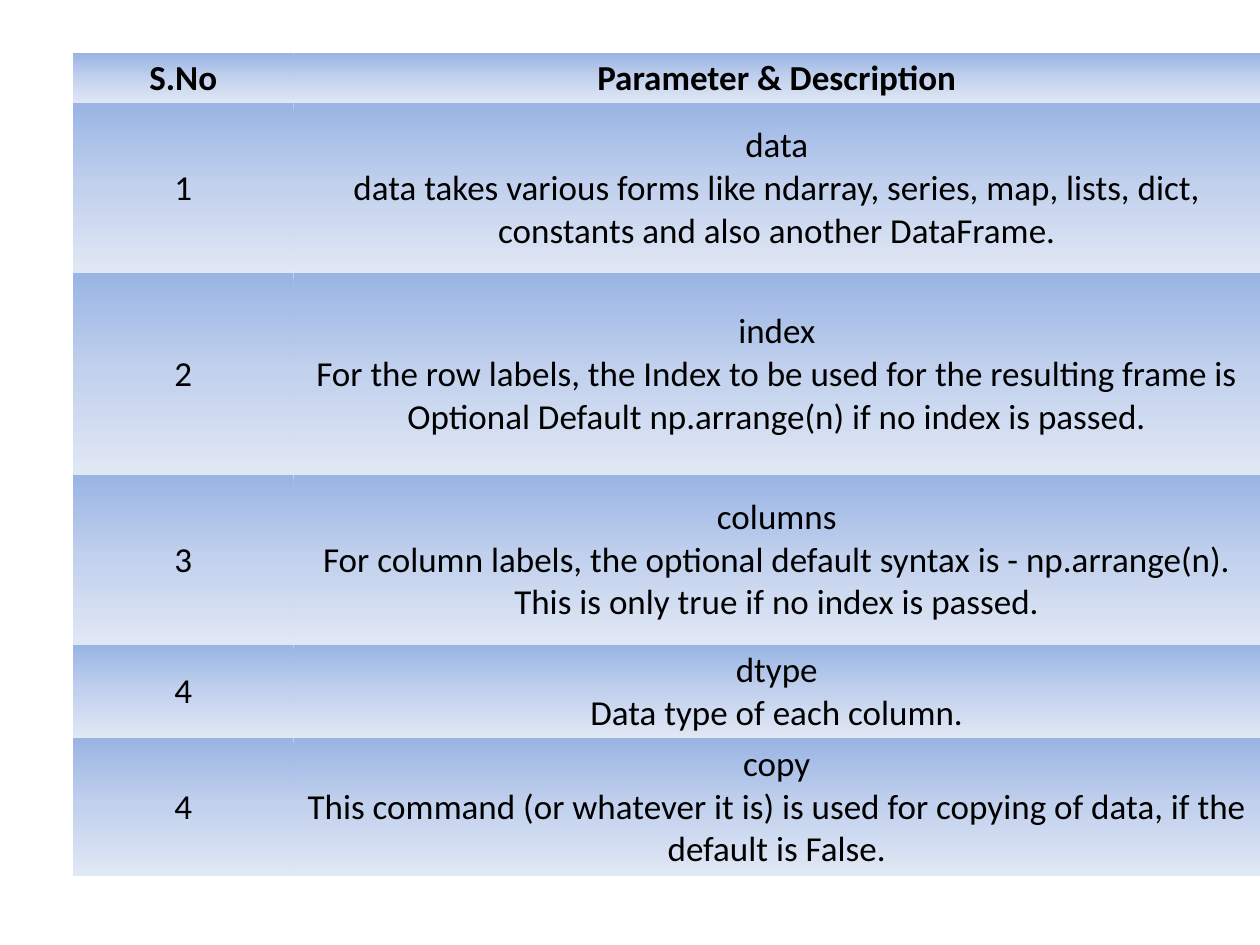
import lxml.etree
import pptx
import pptx.dml.color
import pptx.enum.text
import pptx.oxml.ns
import pptx.util

SLIDE_W, SLIDE_H = 10, 7.5
LEFT, TOP = 0.58, 0.42
COLUMN_WIDTHS = [1.75, 7.67]
ROW_HEIGHTS = [0.34, 1.35, 1.6, 1.35, 0.59, 1.09]
GRADIENT = [(0, "9AB5E4"), (50, "C2D1ED"), (100, "E1E8F5")]
NO_STYLE_NO_GRID = "{2D5ABB26-0587-4C30-8999-92F81FD0307C}"

ROWS = [
    ("S.No", ["Parameter & Description"]),
    ("1", ["data", "data takes various forms like ndarray, series, map, lists, dict, "
           "constants and also another DataFrame."]),
    ("2", ["index", "For the row labels, the Index to be used for the resulting frame is "
           "Optional Default np.arrange(n) if no index is passed."]),
    ("3", ["columns", "For column labels, the optional default syntax is - np.arrange(n). "
           "This is only true if no index is passed."]),
    ("4", ["dtype", "Data type of each column."]),
    ("4", ["copy", "This command (or whatever it is) is used for copying of data, "
           "if the default is False."]),
]


def color(value):
    """Turn a hex string into a colour."""
    return pptx.dml.color.RGBColor.from_string(value)


def add_child(parent, tag, **attributes):
    """Append a DrawingML element to its parent."""
    return lxml.etree.SubElement(parent, pptx.oxml.ns.qn(tag), **attributes)


def fill_gradient(cell):
    """Fill a cell with the vertical gradient."""
    grad = add_child(cell._tc.get_or_add_tcPr(), "a:gradFill", rotWithShape="1")
    stops = add_child(grad, "a:gsLst")
    for percent, value in GRADIENT:
        stop = add_child(stops, "a:gs", pos=str(percent * 1000))
        add_child(stop, "a:srgbClr", val=value)
    add_child(grad, "a:lin", ang="5400000", scaled="0")


def fill_cell(cell, lines, bold):
    """Write centred paragraphs into a cell and colour it."""
    cell.margin_left = cell.margin_right = pptx.util.Inches(0.07)
    cell.margin_top = cell.margin_bottom = pptx.util.Inches(0.03)
    cell.vertical_anchor = pptx.enum.text.MSO_ANCHOR.MIDDLE
    tf = cell.text_frame
    tf.text = "\n".join(lines)
    for p in tf.paragraphs:
        p.alignment = pptx.enum.text.PP_ALIGN.CENTER
        p.font.name = "Calibri"
        p.font.size = pptx.util.Pt(20)
        p.font.bold = bold
        p.font.color.rgb = color("000000")
    fill_gradient(cell)


def add_parameter_table(s):
    """Add the table of parameters with its header row."""
    sizes = (LEFT, TOP, sum(COLUMN_WIDTHS), sum(ROW_HEIGHTS))
    frame = s.shapes.add_table(len(ROWS), len(COLUMN_WIDTHS), *map(pptx.util.Inches, sizes))
    table = frame.table
    table.horz_banding = False
    table._tbl.tblPr.find(pptx.oxml.ns.qn("a:tableStyleId")).text = NO_STYLE_NO_GRID
    for column, width in zip(table.columns, COLUMN_WIDTHS):
        column.width = pptx.util.Inches(width)
    for i, (number, description) in enumerate(ROWS):
        table.rows[i].height = pptx.util.Inches(ROW_HEIGHTS[i])
        for j, lines in enumerate(([number], description)):
            fill_cell(table.cell(i, j), lines, bold=i == 0)


def main():
    """Build the slide and save it."""
    prs = pptx.Presentation()
    prs.slide_width = pptx.util.Inches(SLIDE_W)
    prs.slide_height = pptx.util.Inches(SLIDE_H)
    s = prs.slides.add_slide(prs.slide_layouts[6])
    add_parameter_table(s)
    prs.save("out.pptx")


main()
